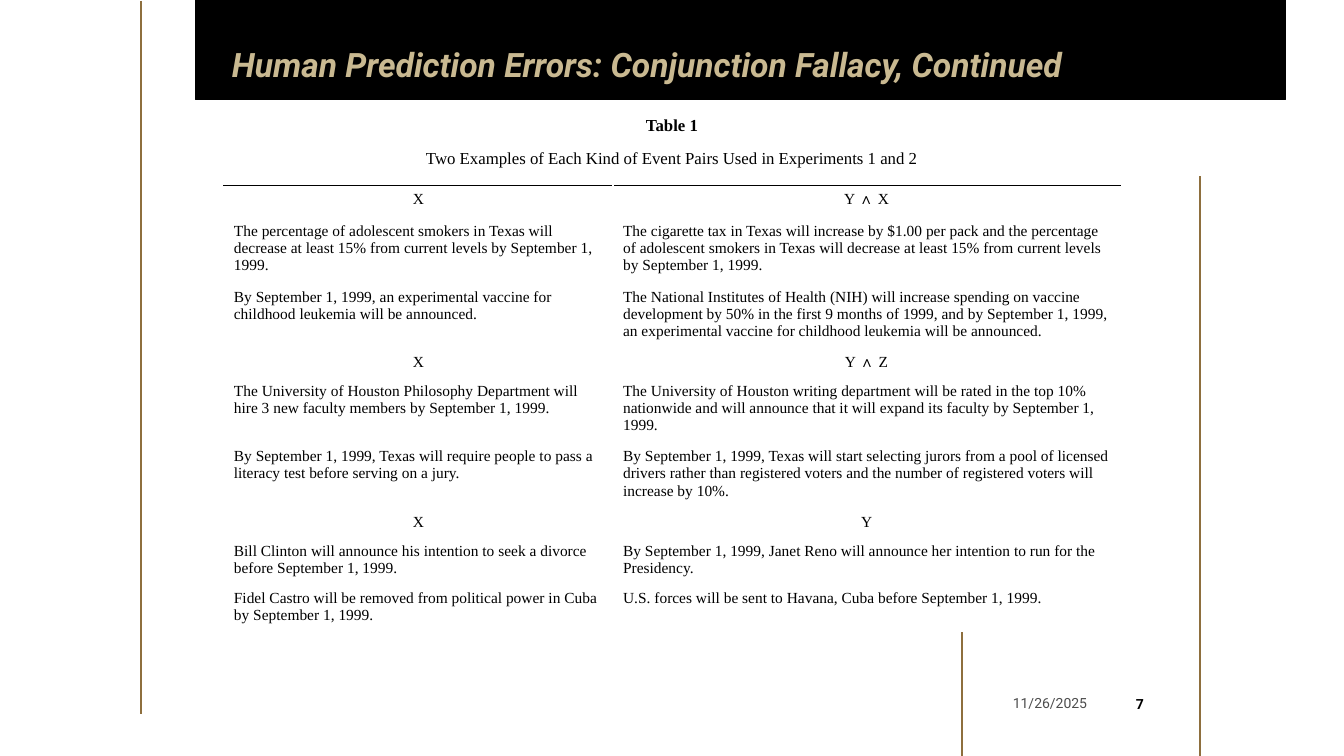
from lxml.etree import SubElement
from pptx import Presentation
from pptx.dml.color import RGBColor
from pptx.enum.shapes import MSO_CONNECTOR, MSO_SHAPE
from pptx.enum.text import MSO_ANCHOR, MSO_AUTO_SIZE, PP_ALIGN
from pptx.oxml import parse_xml
from pptx.oxml.ns import qn
from pptx.util import Inches, Pt

COLORS = {
    "black": "000000",
    "white": "FFFFFF",
    "gold": "C9B991",
    "bronze": "8E6F3E",
    "gray": "4D4D4D",
}
NAMESPACE = "http://schemas.openxmlformats.org/drawingml/2006/main"

TABLE_ROWS = [
    (0.32, "Table 1"),
    (0.41, "Two Examples of Each Kind of Event Pairs Used in Experiments 1 and 2"),
    (0.32, "X", "Y ∧ X"),
    (0.61,
     "The percentage of adolescent smokers in Texas will decrease at least 15% "
     "from current levels by September 1, 1999.",
     "The cigarette tax in Texas will increase by $1.00 per pack and the percentage "
     "of adolescent smokers in Texas will decrease at least 15% from current levels "
     "by September 1, 1999."),
    (0.61,
     "By September 1, 1999, an experimental vaccine for childhood leukemia will be "
     "announced.",
     "The National Institutes of Health (NIH) will increase spending on vaccine "
     "development by 50% in the first 9 months of 1999, and by September 1, 1999, "
     "an experimental vaccine for childhood leukemia will be announced."),
    (0.27, "X", "Y ∧ Z"),
    (0.61,
     "The University of Houston Philosophy Department will hire 3 new faculty "
     "members by September 1, 1999.",
     "The University of Houston writing department will be rated in the top 10% "
     "nationwide and will announce that it will expand its faculty by September 1, "
     "1999."),
    (0.61,
     "By September 1, 1999, Texas will require people to pass a literacy test "
     "before serving on a jury.",
     "By September 1, 1999, Texas will start selecting jurors from a pool of "
     "licensed drivers rather than registered voters and the number of registered "
     "voters will increase by 10%."),
    (0.27, "X", "Y"),
    (0.44,
     "Bill Clinton will announce his intention to seek a divorce before "
     "September 1, 1999.",
     "By September 1, 1999, Janet Reno will announce her intention to run for the "
     "Presidency."),
    (0.44,
     "Fidel Castro will be removed from political power in Cuba by September 1, 1999.",
     "U.S. forces will be sent to Havana, Cuba before September 1, 1999."),
]


class SlideBuilder:
    """Holds the slide and its style, and adds each kind of element."""

    def __init__(self, slide):
        """Keep the slide and the two font names."""
        self.slide = slide
        self.sans = "Roboto"
        self.serif = "Times New Roman"

    def color(self, name):
        """Return a named color."""
        return RGBColor.from_string(COLORS[name])

    def format(self, paragraph, size, font, color="black", bold=False,
               italic=False, align=PP_ALIGN.LEFT):
        """Set the font and alignment of a paragraph."""
        paragraph.alignment = align
        paragraph.font.size = Pt(size)
        paragraph.font.name = font
        paragraph.font.bold = bold
        paragraph.font.italic = italic
        paragraph.font.color.rgb = self.color(color)

    def banner(self, left, top, width, height):
        """Add the black band behind the title."""
        shape = self.slide.shapes.add_shape(
            MSO_SHAPE.RECTANGLE, Inches(left), Inches(top), Inches(width), Inches(height))
        shape.shadow.inherit = False
        shape.fill.solid()
        shape.fill.fore_color.rgb = self.color("black")
        shape.line.color.rgb = self.color("black")
        shape.line.width = Pt(1)

    def vertical_rule(self, x, top, bottom):
        """Add a thin vertical line."""
        rule = self.slide.shapes.add_connector(
            MSO_CONNECTOR.STRAIGHT, Inches(x), Inches(top), Inches(x), Inches(bottom))
        rule.line.color.rgb = self.color("bronze")
        rule.line.width = Pt(1)
        SubElement(rule.element.spPr, qn("a:effectLst"))

    def title(self, text, left, top, width, height):
        """Fill and place the title placeholder."""
        title = self.slide.shapes.title
        title.left, title.top = Inches(left), Inches(top)
        title.width, title.height = Inches(width), Inches(height)
        tree = title.element.getparent()
        tree.remove(title.element)
        tree.append(title.element)
        frame = title.text_frame
        frame.margin_left = frame.margin_right = Inches(0)
        frame.margin_top = frame.margin_bottom = Inches(0)
        frame.vertical_anchor = MSO_ANCHOR.TOP
        frame.word_wrap = True
        frame.auto_size = MSO_AUTO_SIZE.SHAPE_TO_FIT_TEXT
        frame.text = text
        paragraph = frame.paragraphs[0]
        paragraph.line_spacing = 0.9
        self.format(paragraph, 24, self.sans, "gold", bold=True, italic=True)

    def border(self, cell, side):
        """Draw a black border on one side of a cell."""
        cell._tc.get_or_add_tcPr().insert(0, parse_xml(
            f'<a:{side} xmlns:a="{NAMESPACE}" w="12700"><a:solidFill>'
            f'<a:srgbClr val="{COLORS["black"]}"/></a:solidFill></a:{side}>'))

    def table(self, rows, left, top, widths):
        """Add the table; one-text rows span it and short texts are centered."""
        heights = [row[0] for row in rows]
        table = self.slide.shapes.add_table(
            len(rows), len(widths), Inches(left), Inches(top),
            Inches(sum(widths)), Inches(sum(heights))).table
        table.first_row = table.horz_banding = False
        for column, width in zip(table.columns, widths):
            column.width = Inches(width)
        for index, (height, *texts) in enumerate(rows):
            table.rows[index].height = Inches(height)
            caption = len(texts) == 1
            if caption:
                table.cell(index, 0).merge(table.cell(index, len(widths) - 1))
            for column in range(len(widths)):
                cell = table.cell(index, column)
                cell.fill.solid()
                cell.fill.fore_color.rgb = self.color("white")
                if index in (1, 2):
                    self.border(cell, "lnB" if index == 1 else "lnT")
            for column, text in enumerate(texts):
                cell = table.cell(index, column)
                cell.text = text
                centered = caption or len(text) <= 5
                self.format(cell.text_frame.paragraphs[0], 12 if caption else 11,
                            self.serif, bold=index == 0,
                            align=PP_ALIGN.CENTER if centered else PP_ALIGN.LEFT)

    def date(self, text, left, top, width, height):
        """Add the date at the foot of the slide."""
        box = self.slide.shapes.add_textbox(
            Inches(left), Inches(top), Inches(width), Inches(height))
        frame = box.text_frame
        frame.word_wrap = True
        frame.vertical_anchor = MSO_ANCHOR.MIDDLE
        frame.text = text
        self.format(frame.paragraphs[0], 10, self.sans, "gray", align=PP_ALIGN.RIGHT)

    def page_number(self, text, left, top, width, height):
        """Add the page number in an unfilled ellipse."""
        shape = self.slide.shapes.add_shape(
            MSO_SHAPE.OVAL, Inches(left), Inches(top), Inches(width), Inches(height))
        shape.shadow.inherit = False
        shape.fill.background()
        shape.line.fill.background()
        frame = shape.text_frame
        frame.margin_left = frame.margin_right = Inches(0.02)
        frame.vertical_anchor = MSO_ANCHOR.MIDDLE
        frame.text = text
        self.format(frame.paragraphs[0], 10, self.sans, bold=True, align=PP_ALIGN.CENTER)


def main():
    """Build and save the slide."""
    presentation = Presentation()
    presentation.slide_width = Inches(13.33)
    presentation.slide_height = Inches(7.5)
    builder = SlideBuilder(presentation.slides.add_slide(presentation.slide_layouts[5]))
    builder.banner(1.94, 0, 10.81, 0.99)
    for x, top, bottom in [(1.4, 0.01, 7.08), (9.54, 6.27, 7.5), (11.9, 1.75, 7.5)]:
        builder.vertical_rule(x, top, bottom)
    builder.title("Human Prediction Errors: Conjunction Fallacy, Continued",
                  2.3, 0.48, 8.74, 0.36)
    builder.table(TABLE_ROWS, 2.22, 1.11, [3.86, 5.03])
    builder.date("11/26/2025", 9.76, 6.8, 1.12, 0.35)
    builder.page_number("7", 11.04, 6.78, 0.53, 0.4)
    presentation.save("out.pptx")


if __name__ == "__main__":
    main()
